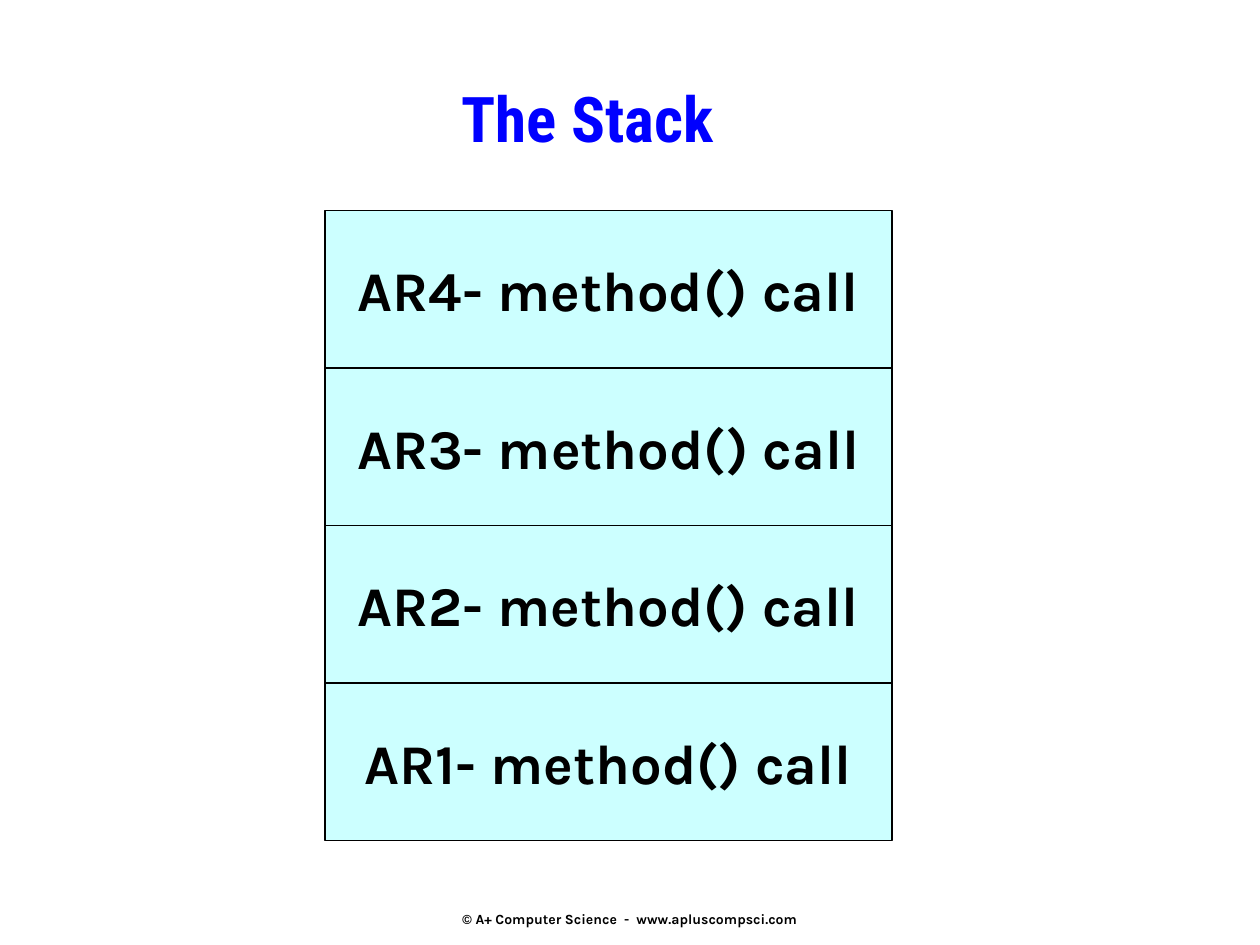
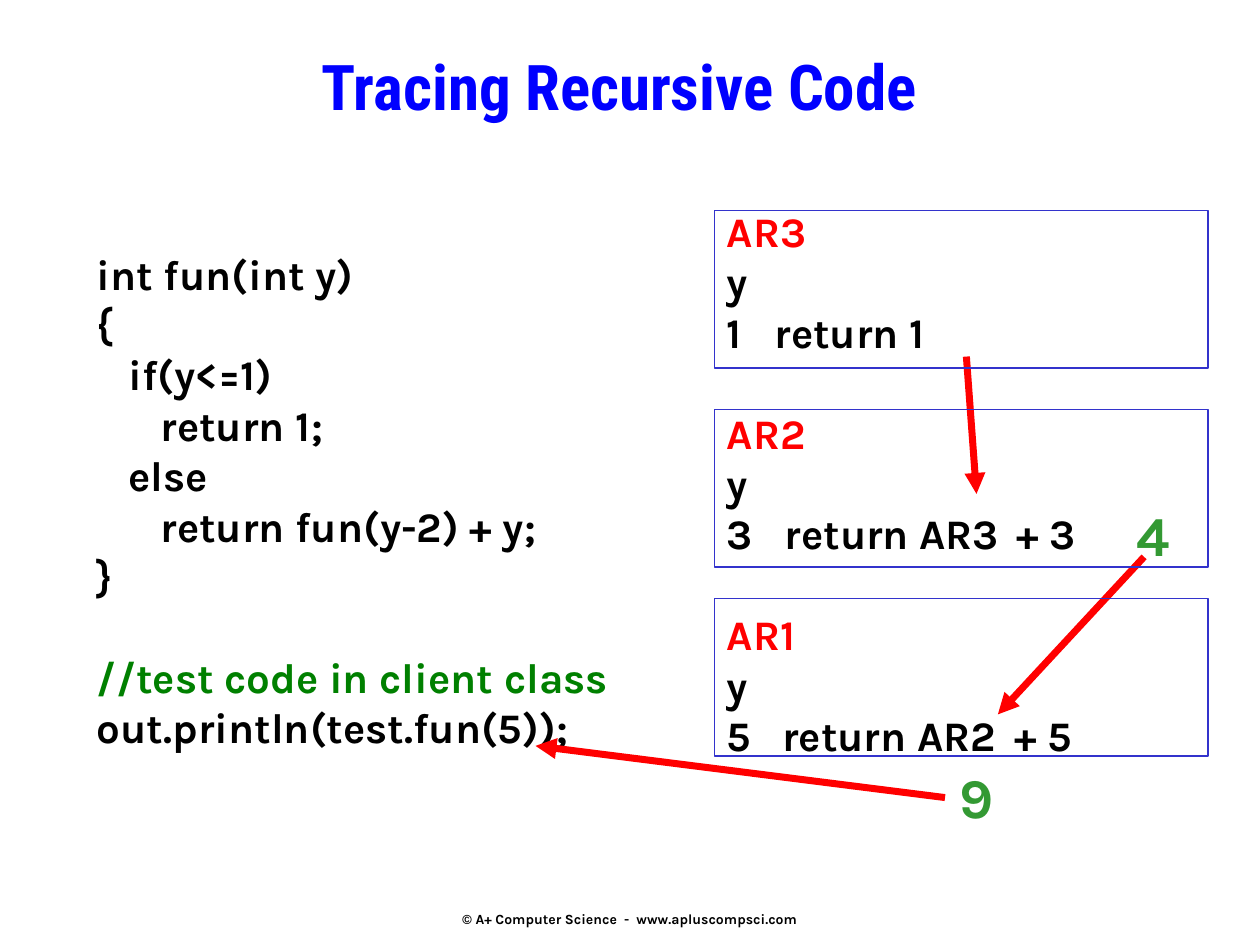
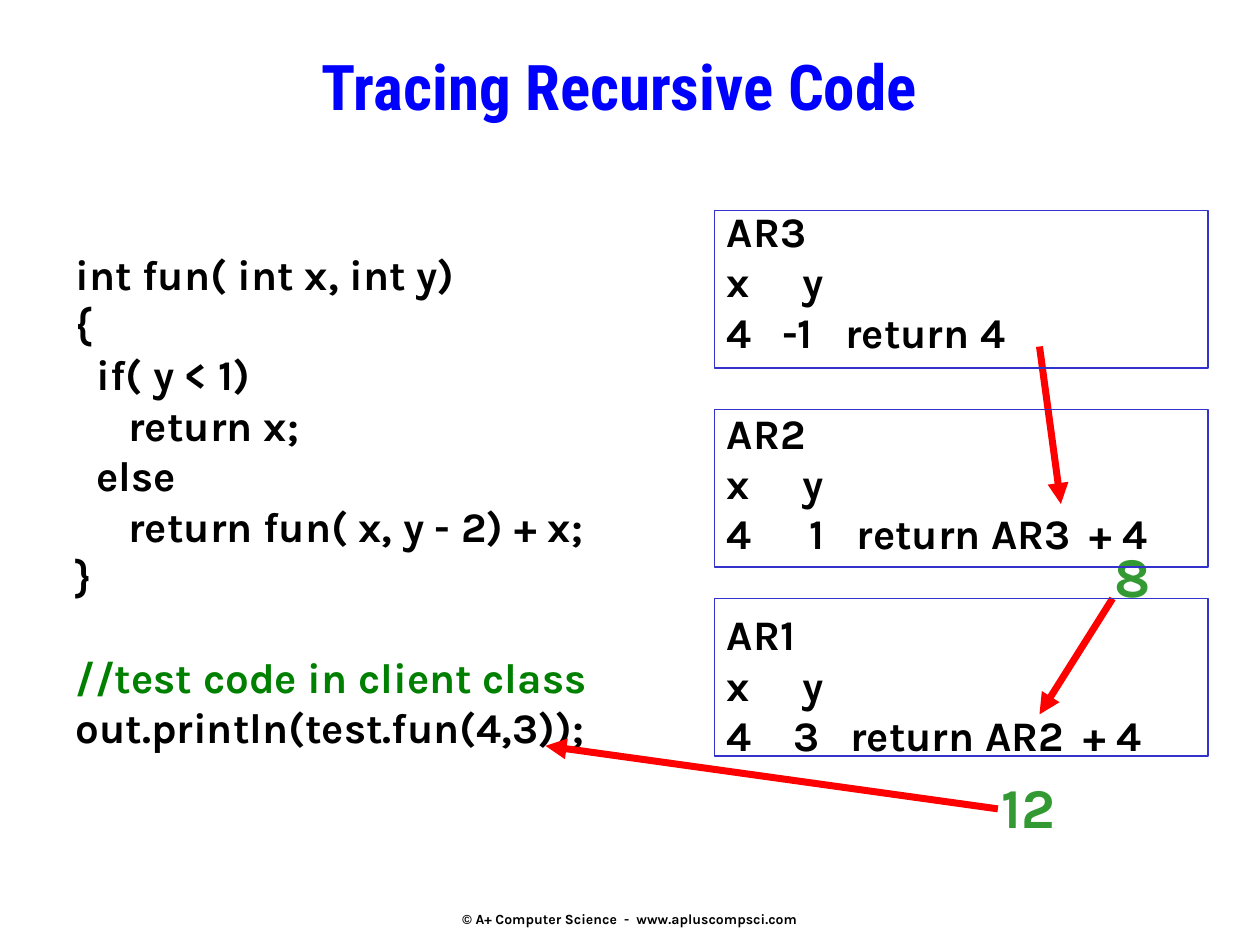
"""Build three slides on the call stack and tracing recursive code."""
from lxml.etree import SubElement
from pptx import Presentation
from pptx.dml.color import RGBColor
from pptx.enum.shapes import MSO_CONNECTOR, MSO_SHAPE
from pptx.enum.text import MSO_ANCHOR, PP_ALIGN
from pptx.oxml.ns import qn
from pptx.util import Inches, Pt

BLACK = RGBColor(0x00, 0x00, 0x00)
TITLE_BLUE = RGBColor(0x00, 0x00, 0xFF)
FRAME_BLUE = RGBColor(0x33, 0x33, 0xCC)
CYAN = RGBColor(0xCC, 0xFF, 0xFF)
RED = RGBColor(0xFF, 0x00, 0x00)
COMMENT_GREEN = RGBColor(0x00, 0x80, 0x00)
RESULT_GREEN = RGBColor(0x33, 0x99, 0x33)
BODY_FONT = "Karla"
TITLE_FONT = "Roboto Condensed"
LINE_GAP = Pt(28.9)
FOOTER = "© A+ Computer Science  -  www.apluscompsci.com"


def style_paragraph(para, size, color=BLACK, font=BODY_FONT, align=PP_ALIGN.LEFT):
    para.alignment = align
    for span in para.runs:
        span.font.name = font
        span.font.size = Pt(size)
        span.font.bold = True
        span.font.color.rgb = color


def add_text(page, bounds, lines, size, color=BLACK, font=BODY_FONT, align=PP_ALIGN.LEFT):
    box = page.shapes.add_textbox(*[Inches(value) for value in bounds])
    box.text_frame.word_wrap = True
    box.text_frame.text = "\n".join(lines)
    for para in box.text_frame.paragraphs:
        style_paragraph(para, size, color, font, align)
    return box.text_frame


deck = Presentation()
deck.slide_width = Inches(10)
deck.slide_height = Inches(7.5)

titles = [
    ("The Stack", (1.33, 0.58, 6.67, 0.92)),
    ("Tracing Recursive Code", (0.5, 0.33, 8.83, 1)),
    ("Tracing Recursive Code", (0.5, 0.33, 8.83, 1)),
]
pages = []
for title, bounds in titles:
    page = deck.slides.add_slide(deck.slide_layouts[6])
    footer = add_text(page, (3.25, 7.04, 3.5, 0.5), [FOOTER], 8, align=PP_ALIGN.CENTER)
    footer.vertical_anchor = MSO_ANCHOR.MIDDLE
    add_text(page, bounds, [title], 36, TITLE_BLUE, TITLE_FONT, PP_ALIGN.CENTER)
    pages.append(page)

for level in range(4):
    record = pages[0].shapes.add_shape(
        MSO_SHAPE.RECTANGLE, Inches(2.58), Inches(1.67 + 1.25 * level), Inches(4.5), Inches(1.25))
    record.shadow.inherit = False
    record.fill.solid()
    record.fill.fore_color.rgb = CYAN
    record.line.color.rgb = BLACK
    record.line.width = Pt(1)
    record.text_frame.text = f"AR{4 - level}- method() call"
    record.text_frame.vertical_anchor = MSO_ANCHOR.MIDDLE
    style_paragraph(record.text_frame.paragraphs[0], 32, align=PP_ALIGN.CENTER)

traces = [
    {
        "code": ["int fun(int y)", "{", "   if(y<=1)", "      return 1;", "   else",
                 "      return fun(y-2) + y;", "}",
                 "//test code in client class", "out.println(test.fun(5));"],
        "code_left": 0.67,
        "name_color": RED,
        "variables": "y",
        "values": [("1\treturn 1", [0.38]),
                   ("3\treturn AR3\t+ 3", [0.46, 2.3]),
                   ("5\treturn AR2\t+ 5", [0.44, 2.28])],
        "arrows": [(9.08, 4.42, 7.92, 5.67), (7.67, 2.83, 7.75, 3.92), (7.5, 6.33, 4.25, 5.92)],
        "results": [("4", 8.92, 3.92), ("9", 7.52, 6)],
    },
    {
        "code": ["int fun( int x, int y)", "{", "  if( y < 1)", "     return x;", "  else",
                 "     return fun( x, y - 2) + x;", "}",
                 "//test code in client class", "out.println(test.fun(4,3));"],
        "code_left": 0.5,
        "name_color": BLACK,
        "variables": "x\ty",
        "values": [("4\t-1\treturn 4", [0.44, 0.94]),
                   ("4\t1\treturn AR3\t+ 4", [0.66, 1.03, 2.88]),
                   ("4\t3\treturn AR2\t+ 4", [0.53, 0.98, 2.83])],
        "arrows": [(8.83, 4.75, 8.25, 5.67), (8.25, 2.75, 8.42, 4), (7.92, 6.42, 4.33, 5.92)],
        "results": [("8", 8.75, 4.25), ("12", 7.85, 6.08)],
    },
]

for page, trace in zip(pages[1:], traces):
    code = add_text(page, (trace["code_left"], 1.92, 5, 4.09), trace["code"], 24)
    comment = code.paragraphs[7]
    comment.space_before = LINE_GAP
    style_paragraph(comment, 24, COMMENT_GREEN)

    lines = []
    stops = []
    for number, (values, value_stops) in zip((3, 2, 1), trace["values"]):
        lines += [f"AR{number}", trace["variables"], values]
        stops += [[], [0.6], value_stops]
    records = add_text(page, (5.67, 1.58, 4.01, 4.5), lines, 24)
    for index, (para, positions) in enumerate(zip(records.paragraphs, stops)):
        if "\t" in para.text:
            tabs = SubElement(para._p.get_or_add_pPr(), qn("a:tabLst"))
            for position in positions:
                SubElement(tabs, qn("a:tab"), pos=str(Inches(position)), algn="l")
        if index % 3 == 0:
            style_paragraph(para, 24, trace["name_color"])
            if index:
                para.space_before = LINE_GAP

    for ends in trace["arrows"]:
        arrow = page.shapes.add_connector(MSO_CONNECTOR.STRAIGHT, *[Inches(end) for end in ends])
        arrow.line.color.rgb = RED
        arrow.line.width = Pt(4)
        SubElement(arrow.line._get_or_add_ln(), qn("a:tailEnd"), type="triangle")
        SubElement(arrow._element.spPr, qn("a:effectLst"))

    for result, left, top in trace["results"]:
        add_text(page, (left, top, 0.8, 0.63), [result], 32, RESULT_GREEN)

    for top in (1.67, 3.25, 4.75):
        frame = page.shapes.add_shape(
            MSO_SHAPE.RECTANGLE, Inches(5.67), Inches(top), Inches(3.92), Inches(1.25))
        frame.shadow.inherit = False
        frame.fill.background()
        frame.line.color.rgb = FRAME_BLUE
        frame.line.width = Pt(1)

deck.save("out.pptx")
